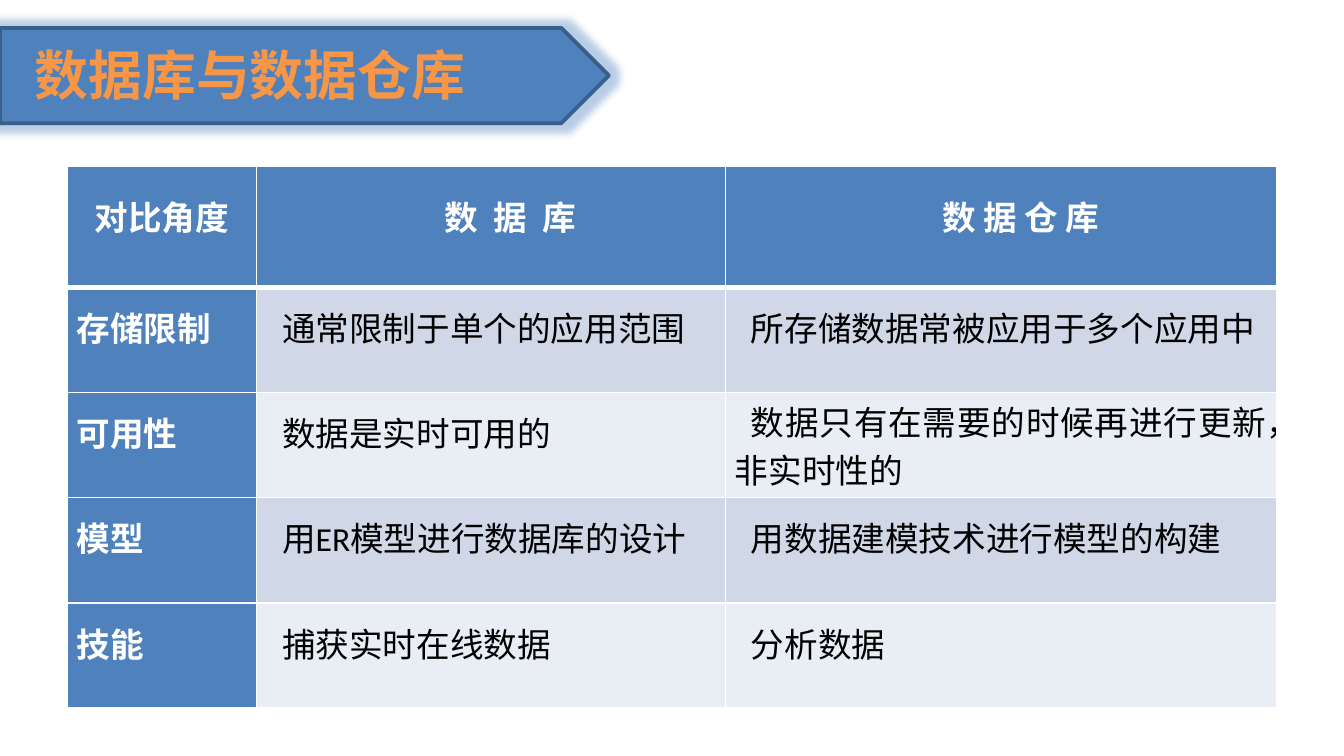
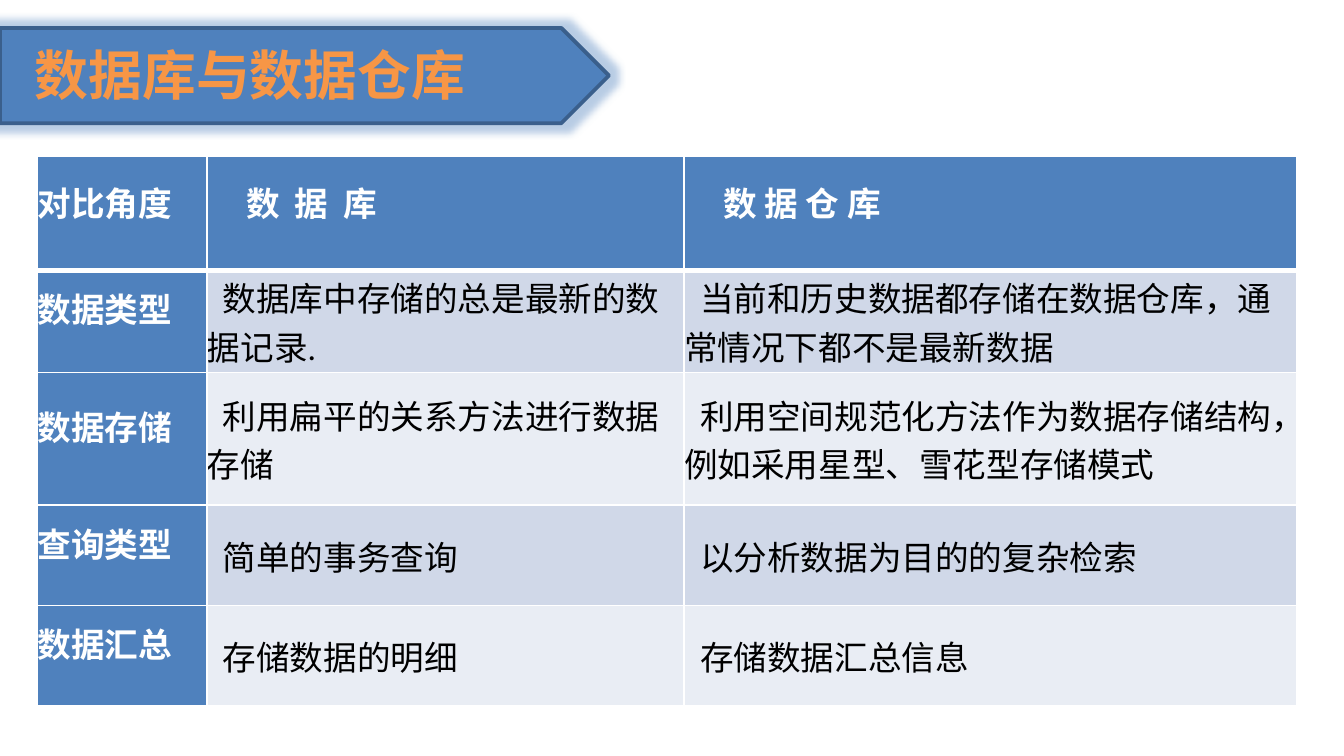
import pptx
import pptx.util
import pptx.dml.color
import pptx.enum.shapes
import pptx.enum.text
import lxml.etree

Cm = pptx.util.Cm
Pt = pptx.util.Pt
RGB = pptx.dml.color.RGBColor
Align = pptx.enum.text.PP_ALIGN
Anchor = pptx.enum.text.MSO_ANCHOR

BLUE = RGB(0x4F, 0x81, 0xBD)
EDGE = RGB(0x3A, 0x5F, 0x8C)
GOLD = RGB(0xF7, 0x96, 0x46)
WHITE = RGB(0xFF, 0xFF, 0xFF)
BLACK = RGB(0, 0, 0)
BANDS = RGB(0xD0, 0xD8, 0xE8), RGB(0xE9, 0xED, 0xF4)
NS = "http://schemas.openxmlformats.org/drawingml/2006/main"

TITLE = "数据库与数据仓库"
HEAD = ("对比角度", "数  据  库", "数 据 仓 库")

# Lengths in cm; body text of up to "tight" characters gets 12 pt line spacing.
PAGES = [
    {
        "at": (1.27, 3.15),
        "cols": (3.58, 8.86, 10.42),
        "rows": (2.29, 1.98, 1.98, 2.0, 1.98),
        "inset": 0.18,
        "tight": 15,
        "head": Align.CENTER,
        "body": Align.JUSTIFY,
        "text": [
            ("存储限制", "通常限制于单个的应用范围", "所存储数据常被应用于多个应用中"),
            ("可用性", "数据是实时可用的", "数据只有在需要的时候再进行更新，非实时性的"),
            ("模型", "用ER模型进行数据库的设计", "用数据建模技术进行模型的构建"),
            ("技能", "捕获实时在线数据", "分析数据"),
        ],
    },
    {
        "at": (0.71, 2.95),
        "cols": (3.2, 9.02, 11.58),
        "rows": (2.16, 1.93, 2.51, 1.9, 1.9),
        "inset": 0,
        "tight": 0,
        "head": Align.LEFT,
        "body": Align.LEFT,
        "text": [
            ("数据类型", "数据库中存储的总是最新的数据记录.",
             "当前和历史数据都存储在数据仓库，通常情况下都不是最新数据"),
            ("数据存储", "利用扁平的关系方法进行数据存储",
             "利用空间规范化方法作为数据存储结构，例如采用星型、雪花型存储模式"),
            ("查询类型", "简单的事务查询", "以分析数据为目的的复杂检索"),
            ("数据汇总", "存储数据的明细", "存储数据汇总信息"),
        ],
    },
]


def add(node, tag, **attrs):
    return lxml.etree.SubElement(node, f"{{{NS}}}{tag}", attrs)


def style(font, name, size, color, bold):
    font.name, font.size, font.bold = name, Pt(size), bold
    font.color.rgb = color


def banner(slide):
    kind = pptx.enum.shapes.MSO_SHAPE.PENTAGON
    arrow = slide.shapes.add_shape(kind, 0, Cm(0.53), Cm(11.51), Cm(1.8))
    arrow.fill.solid()
    arrow.fill.fore_color.rgb = BLUE
    arrow.line.color.rgb = EDGE
    arrow.line.width = Pt(2)
    arrow.shadow.inherit = False
    effects = arrow._element.spPr.find(f"{{{NS}}}effectLst")
    glow = add(effects, "glow", rad=str(Pt(8)))
    add(add(glow, "srgbClr", val=str(BLUE)), "alpha", val="40000")

    box = slide.shapes.add_textbox(Cm(0.41), Cm(0.64), Cm(21.3), Cm(1.5))
    frame = box.text_frame
    frame.word_wrap = True
    frame.vertical_anchor = Anchor.MIDDLE
    frame.text = TITLE
    style(frame.paragraphs[0].runs[0].font, "Noto Sans CJK SC", 28.8, GOLD, True)


def border(cell, row):
    """White lines, thick between the header and the body."""
    thick = {0: "B", 1: "T"}.get(row)
    props = cell._tc.get_or_add_tcPr()
    for side in "LRTB":
        width = Pt(3 if side == thick else 1)
        line = add(props, f"ln{side}", w=str(width))
        add(add(line, "solidFill"), "srgbClr", val=str(WHITE))


def fill(cell, text, row, col, page):
    head, label = row == 0, col == 0
    strong = head or label
    border(cell, row)
    cell.fill.solid()
    cell.fill.fore_color.rgb = BLUE if strong else BANDS[(row - 1) % 2]
    cell.vertical_anchor = Anchor.MIDDLE
    cell.margin_left = cell.margin_right = Cm(page["inset"])
    cell.margin_top = cell.margin_bottom = 0

    cell.text_frame.text = text
    par = cell.text_frame.paragraphs[0]
    if head:
        par.alignment = page["head"]
        par.line_spacing = Pt(14)
    else:
        par.alignment = Align.LEFT if label else page["body"]
        if label or len(text) <= page["tight"]:
            par.line_spacing = Pt(12)
    if not label:
        par._p.get_or_add_pPr().set("indent", str(Cm(0.74 if head else 0.3)))
    style(par.runs[0].font, "Calibri", 18, WHITE if strong else BLACK, strong)


def grid(slide, page):
    rows, cols = page["rows"], page["cols"]
    left, top = page["at"]
    table = slide.shapes.add_table(len(rows), len(cols), Cm(left), Cm(top),
                                   Cm(sum(cols)), Cm(sum(rows))).table
    for part, size in zip(table.columns, cols):
        part.width = Cm(size)
    for part, size in zip(table.rows, rows):
        part.height = Cm(size)
    for row, line in enumerate([HEAD] + page["text"]):
        for col, text in enumerate(line):
            fill(table.cell(row, col), text, row, col, page)


def main():
    deck = pptx.Presentation()
    deck.slide_width, deck.slide_height = Cm(25.4), Cm(14.29)
    for page in PAGES:
        slide = deck.slides.add_slide(deck.slide_layouts[6])
        banner(slide)
        grid(slide, page)
    deck.save("out.pptx")


if __name__ == "__main__":
    main()
